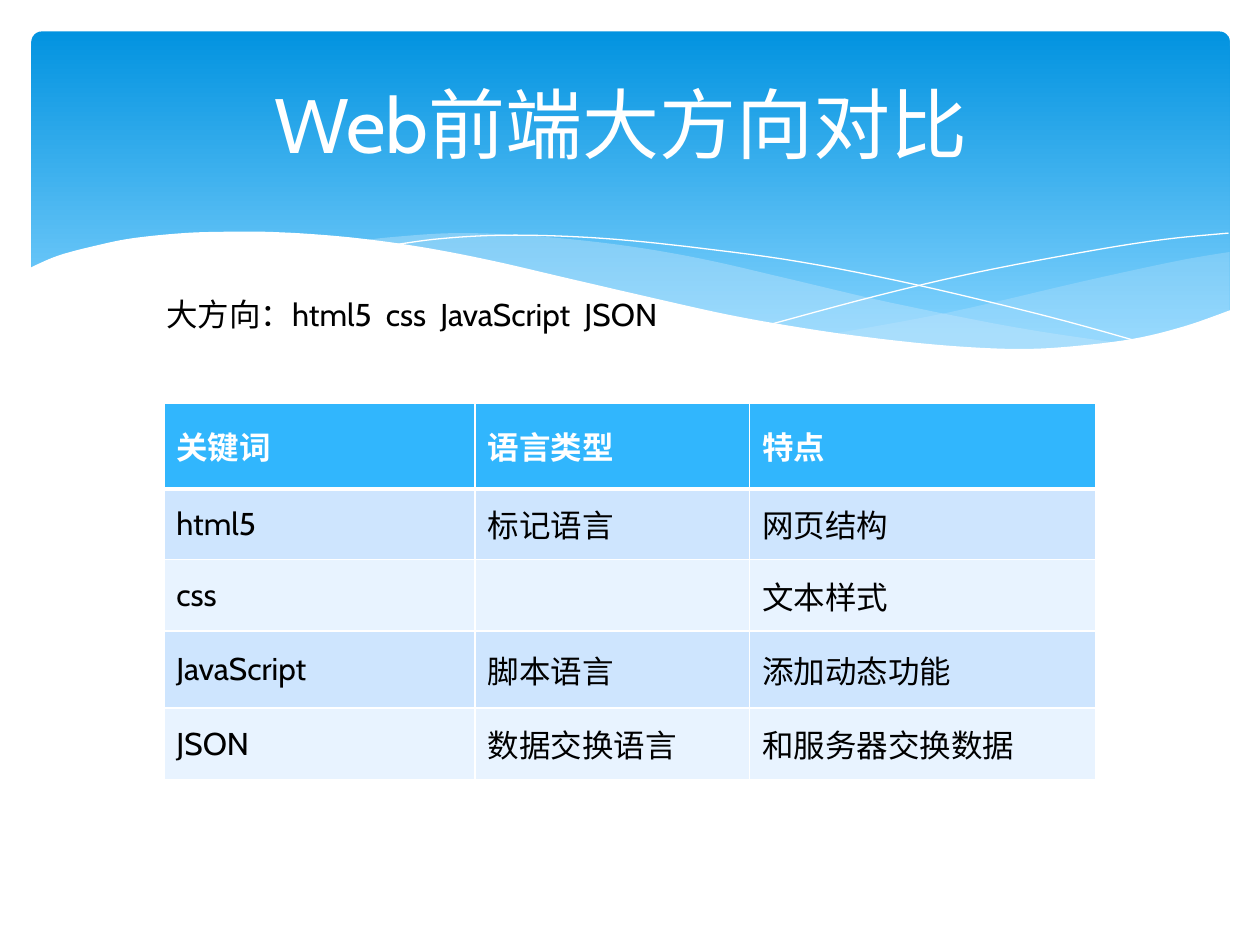
from pptx import Presentation
from pptx.util import Inches, Pt
from pptx.dml.color import RGBColor
from pptx.enum.shapes import MSO_SHAPE as Kind
from pptx.enum.text import PP_ALIGN as Align, MSO_ANCHOR as Anchor
from pptx.oxml.ns import qn
from lxml.etree import SubElement as Sub


def color(code):
    """Turn a hex string into a colour."""
    return RGBColor.from_string(code)


def curve(knots, steps=6):
    """Return points on a smooth curve through all knots."""
    ends = [knots[0], *knots, knots[-1]]
    points = [knots[0]]
    for a, b, c, d in zip(ends, ends[1:], ends[2:], ends[3:]):
        for i in range(1, steps + 1):
            t = i / steps
            points.append(tuple(
                q + t / 2 * (r - p + t * (2 * p - 5 * q + 4 * r - s
                                          + t * (3 * (q - r) + s - p)))
                for p, q, r, s in zip(a, b, c, d)))
    return points


class Deck:
    """Holds the style and the current slide."""
    font = "Cabin"
    white, black = "FFFFFF", "000000"
    head, bands = "31B6FD", ("CEE5FE", "E8F3FF")

    def __init__(self, wide, high):
        """Start a deck with one blank slide."""
        self.file = Presentation()
        self.file.slide_width = Inches(wide)
        self.file.slide_height = Inches(high)
        self.slide = self.file.slides.add_slide(self.file.slide_layouts[6])
        self.shapes = self.slide.shapes

    def add_run(self, frame, text, size, ink, bold=False):
        """Add one styled run to the first paragraph."""
        run = frame.paragraphs[0].add_run()
        run.text = text
        run.font.name, run.font.size, run.font.bold = self.font, Pt(size), bold
        run.font.color.rgb = color(ink)

    def text(self, box, text, size, ink, align=Align.LEFT, anchor=Anchor.TOP):
        """Add a text box."""
        frame = self.shapes.add_textbox(*map(Inches, box)).text_frame
        frame.word_wrap = True
        frame.vertical_anchor = anchor
        frame.paragraphs[0].alignment = align
        self.add_run(frame, text, size, ink)

    def panel(self, box, stops, round_by):
        """Add a rounded panel that fades from top to bottom."""
        shape = self.shapes.add_shape(Kind.ROUNDED_RECTANGLE, *map(Inches, box))
        shape.shadow.inherit = False
        shape.adjustments[0] = round_by
        shape.line.fill.background()
        shape.fill.gradient()
        shape.fill.gradient_angle = 270
        for stop, (place, code) in zip(shape.fill.gradient_stops, stops):
            stop.position = place
            stop.color.rgb = color(code)

    def free(self, points, closed):
        """Add an outline through points given in inches."""
        spots = [(Inches(x), Inches(y)) for x, y in points]
        pen = self.shapes.build_freeform(*spots[0])
        pen.add_line_segments(spots[1:], close=closed)
        shape = pen.convert_to_shape()
        shape.shadow.inherit = False
        return shape

    def wave(self, points, fill, alpha=100):
        """Add a filled wave."""
        shape = self.free(points, True)
        shape.line.fill.background()
        shape.fill.solid()
        shape.fill.fore_color.rgb = color(fill)
        if alpha < 100:
            tint = shape.element.spPr.find(qn("a:solidFill"))[0]
            Sub(tint, qn("a:alpha"), val=str(alpha * 1000))

    def thread(self, knots):
        """Add a white hairline curve."""
        shape = self.free(curve(knots), False)
        shape.fill.background()
        shape.line.color.rgb = color(self.white)
        shape.line.width = Pt(0)

    def edge(self, cell, side, width):
        """Draw one white cell border."""
        line = Sub(cell._tc.get_or_add_tcPr(), qn("a:ln" + side),
                   w=str(Pt(width)))
        Sub(Sub(line, qn("a:solidFill")), qn("a:srgbClr"), val=self.white)

    def table(self, box, cols, highs, rows):
        """Add a banded table with a header row."""
        grid = self.shapes.add_table(len(rows), len(cols),
                                     *map(Inches, box)).table
        for col, wide in zip(grid.columns, cols):
            col.width = Inches(wide)
        for r, (row, high) in enumerate(zip(rows, highs)):
            grid.rows[r].height = Inches(high)
            top = r == 0
            for c, text in enumerate(row):
                cell = grid.cell(r, c)
                cell.vertical_anchor = Anchor.MIDDLE
                for side in "LRTB":
                    thick = (top and side == "B") or (r == 1 and side == "T")
                    self.edge(cell, side, 3 if thick else 1)
                cell.fill.solid()
                cell.fill.fore_color.rgb = color(
                    self.head if top else self.bands[(r - 1) % 2])
                if text:
                    self.add_run(cell.text_frame, text, 18,
                                 self.white if top else self.black, top)


deck = Deck(10, 7.5)
deck.panel((0.25, 0.25, 9.51, 2.7), [(0, "0293E0"), (0.9, "83D3FE")], 0.03)

mist = "C6E7FC"
deck.wave(
    curve([(9.76, 2), (9.35, 2.07), (8.61, 2.23), (7.53, 2.48), (6.61, 2.65)])
    + curve([(6.61, 2.65), (7.19, 2.72), (7.69, 2.77), (8.14, 2.78),
             (8.63, 2.75), (9.05, 2.69), (9.42, 2.59), (9.76, 2.47)]),
    mist, 29)
deck.wave(
    curve([(8.93, 2.73), (8.07, 2.6), (7.06, 2.4), (6.29, 2.22), (5.55, 2.05),
           (4.89, 1.94), (4.2, 1.87), (3.61, 1.85), (3.13, 1.88),
           (2.86, 1.91)])
    + curve([(2.86, 1.91), (3.62, 2.03), (4.49, 2.22), (5.3, 2.4),
             (6.18, 2.58), (6.95, 2.7), (7.61, 2.77), (8.18, 2.78),
             (8.57, 2.77), (8.93, 2.73)]),
    mist, 40)
deck.thread([(3.09, 1.95), (3.44, 1.9), (3.87, 1.87), (4.33, 1.87),
             (4.89, 1.9), (5.56, 1.97), (6.36, 2.08), (7.27, 2.26),
             (8.31, 2.51), (9.07, 2.72)])
deck.thread([(6.13, 2.57), (6.95, 2.35), (7.76, 2.16), (8.66, 1.99),
             (9.24, 1.9), (9.75, 1.85)])
deck.wave(
    curve([(9.77, 2.46), (9.4, 2.59), (8.99, 2.69), (8.5, 2.75),
           (8.09, 2.77), (7.61, 2.75), (7.08, 2.7), (6.48, 2.62),
           (5.79, 2.5), (5.03, 2.33), (4.47, 2.2), (3.91, 2.07), (3.4, 1.97),
           (2.92, 1.9), (2.5, 1.86), (2.11, 1.84), (1.77, 1.84),
           (1.46, 1.85), (1.06, 1.89), (0.76, 1.95), (0.46, 2.03),
           (0.23, 2.13)])
    + [(0.23, 3.29), (9.77, 3.29)],
    deck.white)

deck.text((0.43, 0.29, 9, 1.37), "Web前端大方向对比", 44, deck.white,
          Align.CENTER, Anchor.MIDDLE)
deck.table((1.3, 3.2, 7.4, 3), (2.47, 2.18, 2.75),
           (0.68, 0.56, 0.57, 0.61, 0.57), [
    ("关键词", "语言类型", "特点"),
    ("html5", "标记语言", "网页结构"),
    ("css", "", "文本样式"),
    ("JavaScript", "脚本语言", "添加动态功能"),
    ("JSON", "数据交换语言", "和服务器交换数据"),
])
deck.text((1.22, 2.29, 4.72, 0.4),
          "大方向\uff1ahtml5  css  JavaScript  JSON", 18, deck.black)
deck.file.save("out.pptx")
